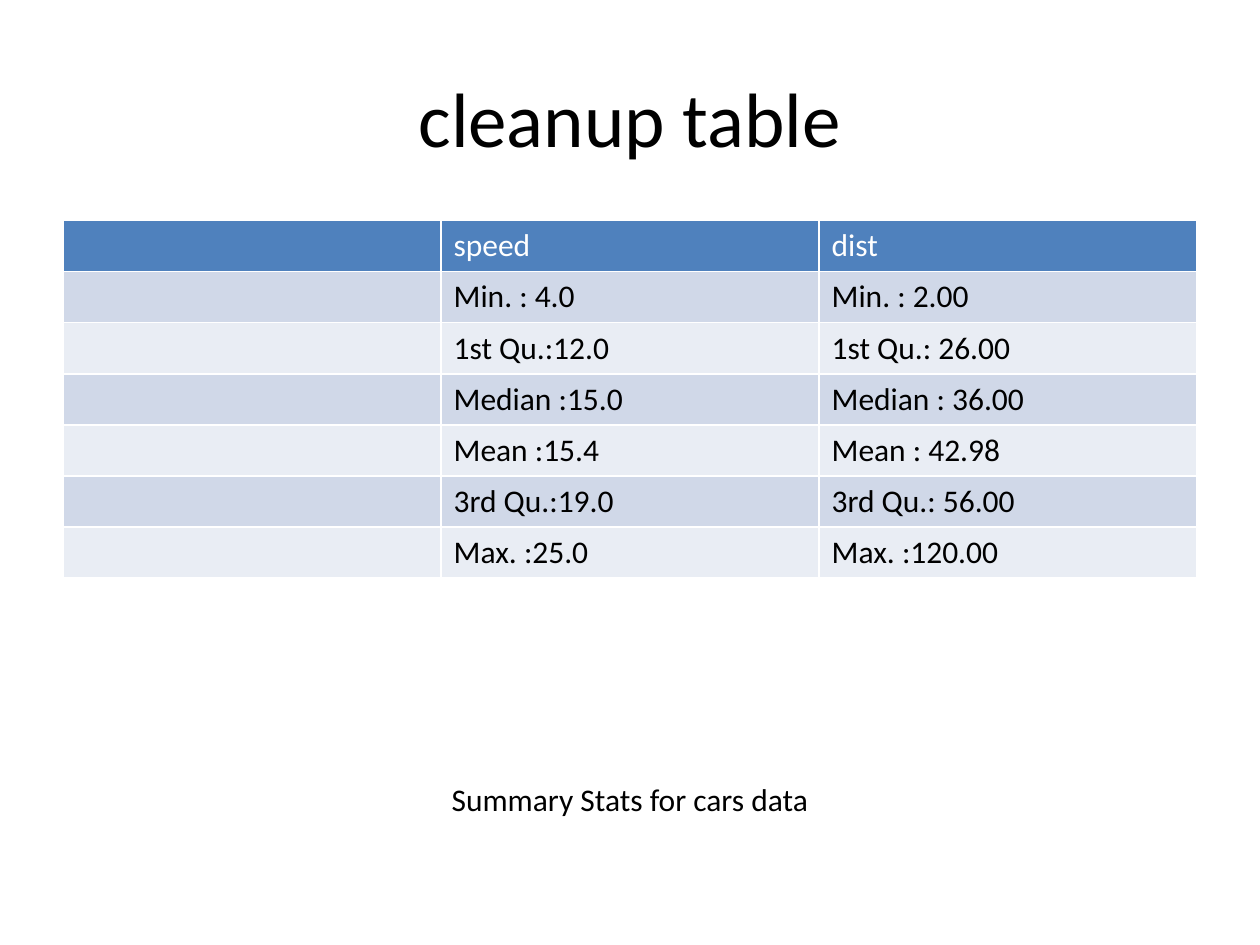
from pptx import Presentation
from pptx.dml.color import RGBColor
from pptx.enum import text as t
from pptx.util import Pt


def paint(target, color):
    target.fill.solid()
    target.fill.fore_color.rgb = RGBColor.from_string(color)


def style(frame, size, color, align):
    for par in frame.paragraphs:
        par.alignment = align
        for run in par.runs:
            font = run.font
            font.name, font.size, font.bold = "Calibri", Pt(size), False
            font.color.rgb = RGBColor.from_string(color)


def label(slide, box, words, size, anchor):
    frame = slide.shapes.add_textbox(*map(Pt, box)).text_frame
    frame.word_wrap = True
    frame.vertical_anchor = anchor
    frame.text = words
    style(frame, size, "000000", t.PP_ALIGN.CENTER)


def stats(slide, box, rows):
    table = slide.shapes.add_table(len(rows), len(rows[0]), *map(Pt, box)).table
    for i, row in enumerate(rows):
        fill = "4F81BD" if i == 0 else ("E9EDF4", "D0D8E8")[i % 2]
        ink = "FFFFFF" if i == 0 else "000000"
        for j, words in enumerate(row):
            cell = table.cell(i, j)
            paint(cell, fill)
            if words:
                cell.text_frame.text = words
                style(cell.text_frame, 18, ink, t.PP_ALIGN.LEFT)


ROWS = [
    ("", "speed", "dist"),
    ("", "Min. : 4.0", "Min. : 2.00"),
    ("", "1st Qu.:12.0", "1st Qu.: 26.00"),
    ("", "Median :15.0", "Median : 36.00"),
    ("", "Mean :15.4", "Mean : 42.98"),
    ("", "3rd Qu.:19.0", "3rd Qu.: 56.00"),
    ("", "Max. :25.0", "Max. :120.00"),
]

deck = Presentation()
deck.slide_width, deck.slide_height = Pt(720), Pt(540)
slide = deck.slides.add_slide(deck.slide_layouts[6])
left, width = 36, 648
label(slide, (left, 21.6, width, 90), "cleanup table", 44, t.MSO_ANCHOR.MIDDLE)
stats(slide, (left, 126, width, 29.2 * len(ROWS)), ROWS)
label(slide, (left, 442, width, 40), "Summary Stats for cars data", 18, t.MSO_ANCHOR.TOP)
deck.save("out.pptx")
